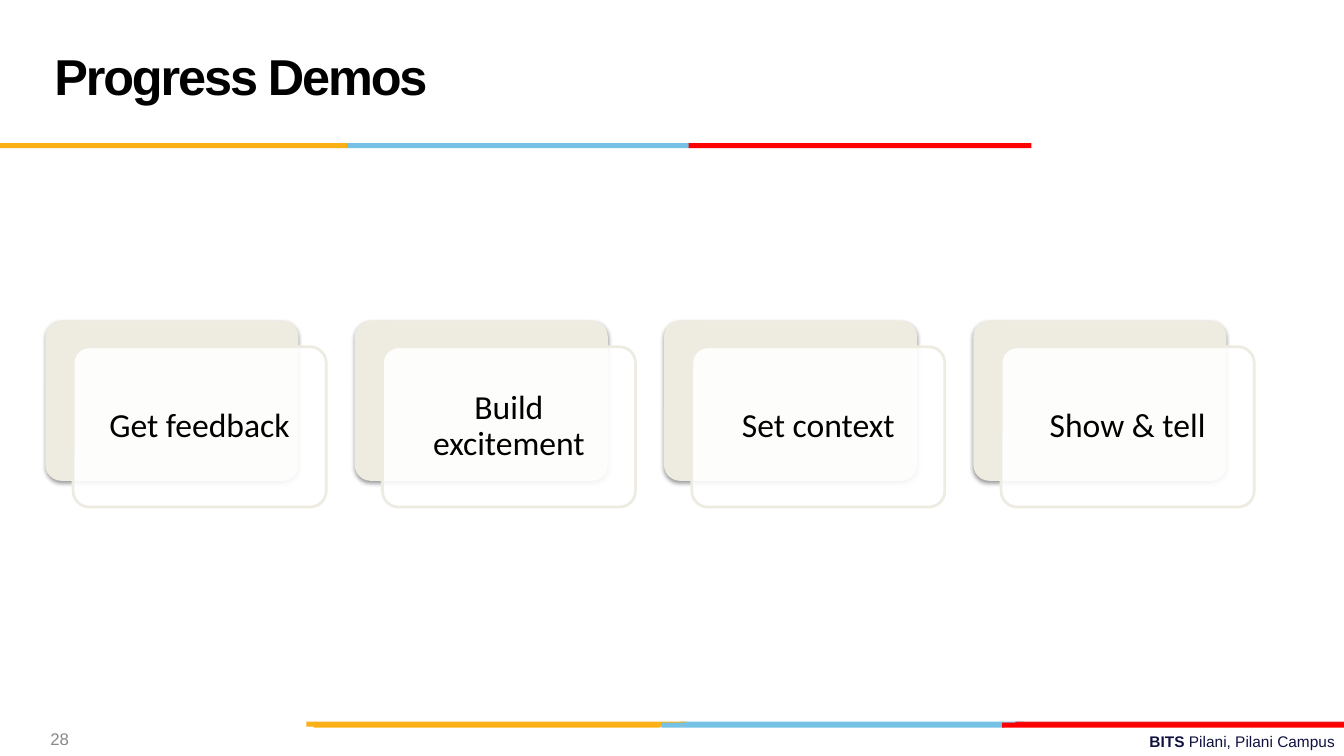
"""Build the Progress Demos slide: title, colour bars, four layered cards and a footer."""
import dataclasses

import lxml.etree
import pptx
import pptx.dml.color
import pptx.enum.shapes
import pptx.enum.text
import pptx.oxml.ns
import pptx.util

ALIGN = pptx.enum.text.PP_ALIGN
SHAPE = pptx.enum.shapes.MSO_SHAPE


@dataclasses.dataclass(frozen=True)
class Theme:
    heading_font: str = "Arial"
    card_font: str = "Calibri"
    title_size: int = 36
    card_size: int = 24
    number_size: int = 12
    footer_size: int = 11
    black: str = "000000"
    white: str = "FFFFFF"
    cream: str = "EEECE1"
    navy: str = "101141"
    grey: str = "898989"
    amber: str = "FCB017"
    sky: str = "76C2E5"
    red: str = "FF0000"
    crimson: str = "E31C24"


class SlideBuilder:
    COLUMNS = 133.3
    ROWS = 75

    def __init__(self, deck, theme):
        self.deck = deck
        self.theme = theme
        self.page = deck.slides.add_slide(deck.slide_layouts[6])

    def place(self, left, top, width, height):
        column = self.deck.slide_width / self.COLUMNS
        row = self.deck.slide_height / self.ROWS
        return [round(left * column), round(top * row), round(width * column), round(height * row)]

    def color(self, code):
        return pptx.dml.color.RGBColor.from_string(code)

    def child(self, parent, tag, **attributes):
        values = {name: str(value) for name, value in attributes.items()}
        return lxml.etree.SubElement(parent, pptx.oxml.ns.qn(tag), values)

    def shape(self, kind, area, fill):
        box = self.page.shapes.add_shape(kind, *self.place(*area))
        box.shadow.inherit = False
        box.fill.solid()
        box.fill.fore_color.rgb = self.color(fill)
        box.line.fill.background()
        return box

    def bars(self, top, segments):
        for left, width, fill in segments:
            self.shape(SHAPE.RECTANGLE, (left, top, width, 0.5), fill)

    def fill_text(self, box, spans, size, font, color, align=ALIGN.LEFT):
        frame = box.text_frame
        frame.word_wrap = True
        frame.vertical_anchor = pptx.enum.text.MSO_ANCHOR.MIDDLE
        para = frame.paragraphs[0]
        para.alignment = align
        for text, bold in spans:
            span = para.add_run()
            span.text = text
            span.font.size = pptx.util.Pt(size)
            span.font.name = font
            span.font.bold = bold
            span.font.color.rgb = self.color(color)
        return para

    def text(self, area, spans, size, color, align=ALIGN.LEFT):
        box = self.page.shapes.add_textbox(*self.place(*area))
        return self.fill_text(box, spans, size, self.theme.heading_font, color, align)

    def title(self, area, words):
        para = self.text(area, [(words, True)], self.theme.title_size, self.theme.black)
        para.line_spacing = pptx.util.Pt(self.theme.title_size)
        para.runs[0].font._element.set("spc", "-150")

    def card(self, left, top, words):
        width, height, shift_across, shift_down = 25.1, 15.9, 2.75, 2.6
        back = self.shape(SHAPE.ROUNDED_RECTANGLE, (left, top, width, height), self.theme.cream)
        effects = back._element.spPr.find(pptx.oxml.ns.qn("a:effectLst"))
        shadow = self.child(effects, "a:outerShdw", blurRad=pptx.util.Pt(3.1),
                            dist=pptx.util.Pt(1.6), dir=5400000, rotWithShape=0)
        tint = self.child(shadow, "a:srgbClr", val=self.theme.black)
        self.child(tint, "a:alpha", val=38000)

        area = (left + shift_across, top + shift_down, width, height)
        front = self.shape(SHAPE.ROUNDED_RECTANGLE, area, self.theme.white)
        tint = front._element.spPr.find(".//" + pptx.oxml.ns.qn("a:srgbClr"))
        self.child(tint, "a:alpha", val=90000)
        front.line.color.rgb = self.color(self.theme.cream)
        front.line.width = pptx.util.Pt(2)
        for box in (back, front):
            box.adjustments[0] = 0.1
        para = self.fill_text(front, [(words, False)], self.theme.card_size,
                              self.theme.card_font, self.theme.black, ALIGN.CENTER)
        para.line_spacing = 0.9


def main():
    deck = pptx.Presentation()
    deck.slide_width = pptx.util.Inches(13.33)
    deck.slide_height = pptx.util.Inches(7.5)
    theme = Theme()
    slide = SlideBuilder(deck, theme)

    slide.text((47.8, 72.1, 85.6, 2.9), [("BITS ", True), ("Pilani, Pilani Campus", False)],
               theme.footer_size, theme.navy, ALIGN.RIGHT)
    slide.bars(71.6, [(67.5, 34, theme.sky), (100.7, 32.6, theme.crimson), (30.4, 37.6, theme.amber)])
    slide.bars(71.7, [(65.6, 34, theme.sky), (31.1, 34.4, theme.amber), (99.4, 33.9, theme.red)])
    slide.bars(14.2, [(34.4, 34, theme.sky), (0, 34.4, theme.amber), (68.3, 34, theme.red)])

    for index, words in enumerate(["Get feedback", "Build excitement", "Set context", "Show & tell"]):
        slide.card(4.5 + 30.68 * index, 31.8, words)

    slide.title((4.4, 1.7, 92.2, 12.5), "Progress Demos")
    slide.text((4, 71.6, 31.1, 3.4), [("28", False)], theme.number_size, theme.grey)
    deck.save("out.pptx")


if __name__ == "__main__":
    main()
